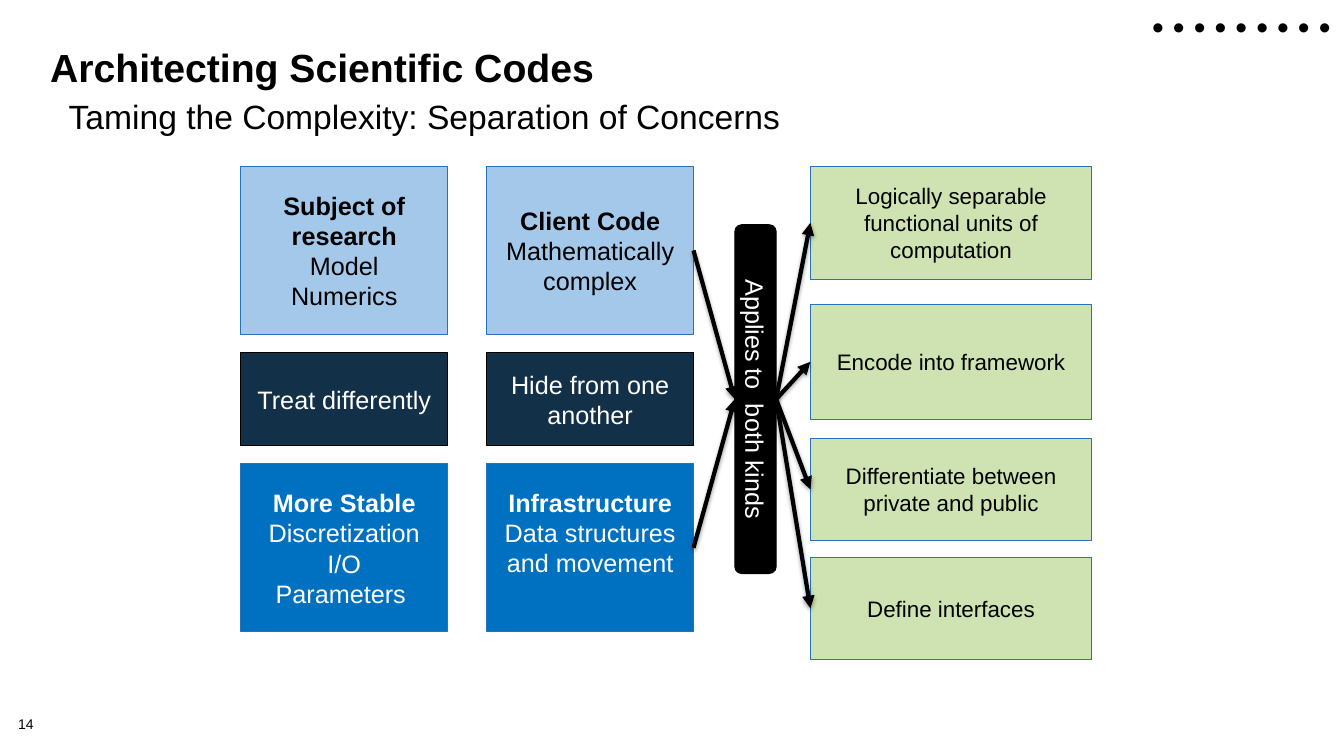
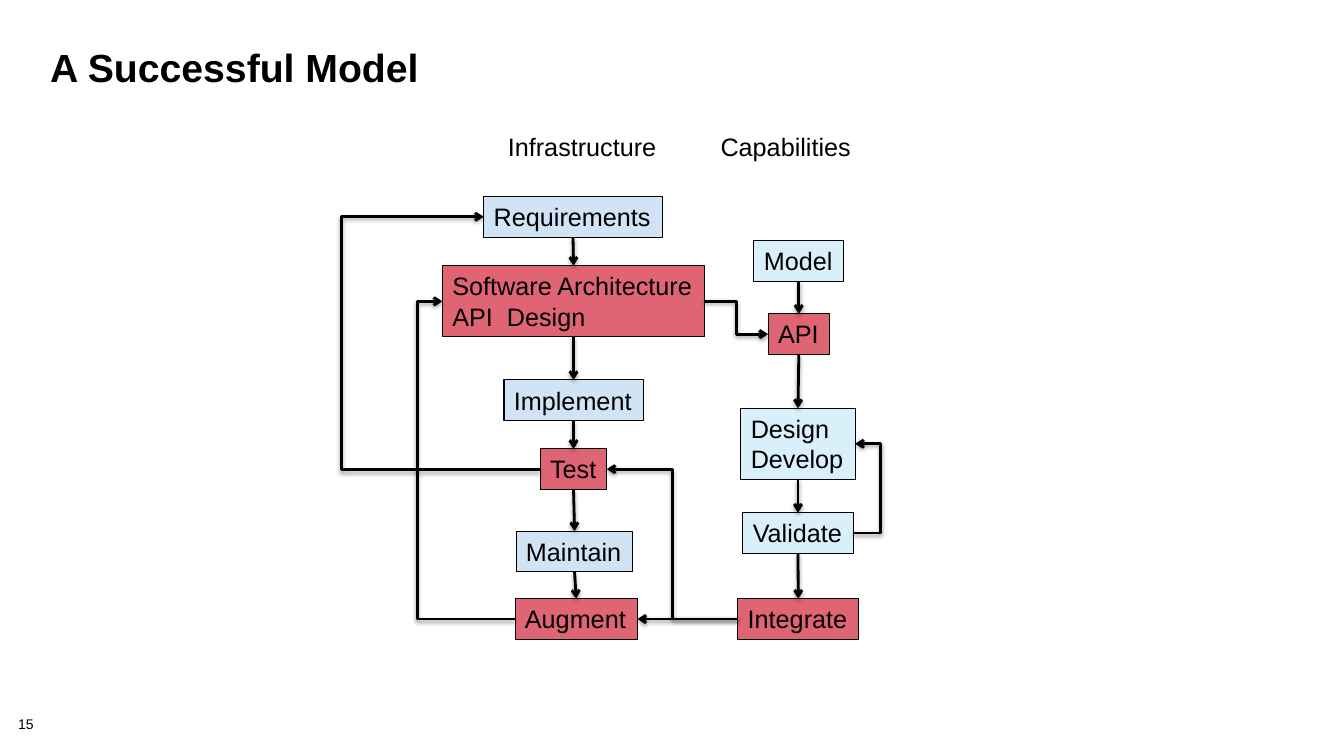
"""Build two slides on separating concerns and on a software life cycle."""
import itertools
from dataclasses import dataclass
from typing import Optional

import pptx
import pptx.dml.color
import pptx.enum.shapes
import pptx.enum.text
import pptx.oxml
import pptx.oxml.ns
import pptx.util

Pt = pptx.util.Pt
KIND = pptx.enum.shapes.MSO_SHAPE
JOIN = pptx.enum.shapes.MSO_CONNECTOR
ALIGN = pptx.enum.text.PP_ALIGN
ANCHOR = pptx.enum.text.MSO_ANCHOR
FIT = pptx.enum.text.MSO_AUTO_SIZE

COLS, ROWS = 40, 22.5
CELL = pptx.util.Inches(1) / 3
FONT = "Arial"
BLACK, WHITE = "000000", "FFFFFF"
EDGE, SKY, BLUE, NAVY, GREEN = "2673BA", "A3C8EA", "0070C0", "133049", "CEE3B1"
PALE, ICE, ROSE = "D1E4F5", "D9EFFA", "DF6474"
TOP, LEFT, BOTTOM, RIGHT = range(4)
SHADE = (
    '<a:effectLst %s><a:outerShdw blurRad="39370" dist="20320" dir="5400000" rotWithShape="0">'
    '<a:srgbClr val="000000"><a:alpha val="38000"/></a:srgbClr></a:outerShdw></a:effectLst>'
    % pptx.oxml.ns.nsdecls("a")
)


@dataclass
class Box:
    """A place on the grid, in cells."""
    x: float
    y: float
    w: float
    h: float


@dataclass
class Style:
    """The look of text and of the shape around it."""
    size: float = 18
    ink: str = BLACK
    fill: Optional[str] = None
    edge: str = BLACK
    lead: bool = False
    align: Optional[ALIGN] = None
    mid: bool = False
    space: Optional[float] = None
    wrap: bool = True
    grow: bool = False
    pad: Optional[tuple] = None


@dataclass
class Node:
    """A labelled step of the flow chart."""
    text: str
    x: float
    y: float
    w: float
    fill: str


@dataclass
class Link:
    """An arrow between sides of two shapes, bent at a column if given."""
    a: str
    out: int
    b: str
    into: int
    bend: Optional[float] = None


def grid(n: float) -> int:
    """Turn cells into a length."""
    return round(n * CELL)


def tint(code: str) -> pptx.dml.color.RGBColor:
    """Turn a hex string into a colour."""
    return pptx.dml.color.RGBColor.from_string(code)


def write(frame, text: str, style: Style) -> None:
    """Fill a text frame and format its runs."""
    frame.text = text
    frame.word_wrap = style.wrap
    frame.auto_size = FIT.SHAPE_TO_FIT_TEXT if style.grow else FIT.NONE
    frame.vertical_anchor = ANCHOR.MIDDLE if style.mid else ANCHOR.TOP
    if style.pad:
        pads = [grid(n) for n in style.pad]
        frame.margin_left, frame.margin_top, frame.margin_right, frame.margin_bottom = pads
    for i, line in enumerate(frame.paragraphs):
        line.alignment = style.align or ALIGN.LEFT
        if style.space:
            line.line_spacing = style.space
        for run in line.runs:
            run.font.name = FONT
            run.font.size = Pt(style.size)
            run.font.bold = style.lead and i == 0
            run.font.color.rgb = tint(style.ink)


def draw(slide, box: Box, text: str, style: Style, kind=KIND.RECTANGLE):
    """Add a filled shape, or a text box when the style has no fill."""
    spot = [grid(n) for n in (box.x, box.y, box.w, box.h)]
    if style.fill:
        shape = slide.shapes.add_shape(kind, *spot)
        shape.shadow.inherit = False
        shape.fill.solid()
        shape.fill.fore_color.rgb = tint(style.fill)
        shape.line.color.rgb = tint(style.edge)
        shape.line.width = Pt(0.75)
    else:
        shape = slide.shapes.add_textbox(*spot)
    write(shape.text_frame, text, style)
    return shape


def join(slide, shapes: dict, link: Link, width: float, tip: str) -> None:
    """Add a shaded arrow between two shapes."""
    elbow = link.bend is not None
    line = slide.shapes.add_connector(JOIN.ELBOW if elbow else JOIN.STRAIGHT, 0, 0, 0, 0)
    line.begin_connect(shapes[link.a], link.out)
    line.end_connect(shapes[link.b], link.into)
    line.line.color.rgb = tint(BLACK)
    line.line.width = Pt(width)
    props = line.element.spPr
    stroke = props.find(pptx.oxml.ns.qn("a:ln"))
    stroke.append(pptx.oxml.parse_xml(
        '<a:tailEnd %s type="%s"/>' % (pptx.oxml.ns.nsdecls("a"), tip)))
    props.append(pptx.oxml.parse_xml(SHADE))
    if elbow:
        share = (grid(link.bend) - line.begin_x) / (line.end_x - line.begin_x)
        shape = props.find(pptx.oxml.ns.qn("a:prstGeom"))
        for old in list(shape):
            shape.remove(old)
        shape.append(pptx.oxml.parse_xml(
            '<a:avLst %s><a:gd name="adj1" fmla="val %d"/></a:avLst>'
            % (pptx.oxml.ns.nsdecls("a"), round(share * 100000))))


def start(deck, title: str, number: int):
    """Add a slide with its title and number."""
    slide = deck.slides.add_slide(deck.slide_layouts[6])
    draw(slide, Box(1.2, 1.35, 37.32, 3), title, Style(28, lead=True, space=0.85))
    draw(slide, Box(0.54, 21.36, 1.68, 0.48), str(number),
         Style(10, space=0.9, pad=(0, 0, 0, 0)))
    return slide


def concerns(deck) -> None:
    """Draw the separation of concerns."""
    slide = start(deck, "Architecting Scientific Codes", 14)
    draw(slide, Box(0, 2.85, 25.26, 2.1), "Taming the Complexity: Separation of Concerns",
         Style(24, align=ALIGN.CENTER, space=0.9))
    shapes = {}
    bands = [
        (5.01, Style(fill=SKY, edge=EDGE, lead=True),
         ["Subject of research\nModel\nNumerics", "Client Code\nMathematically complex"]),
        (2.76, Style(fill=NAVY, ink=WHITE), ["Treat differently", "Hide from one another"]),
        (5.01, Style(fill=BLUE, edge=EDGE, ink=WHITE, lead=True),
         ["More Stable\nDiscretization\nI/O\nParameters ",
          "Infrastructure\nData structures and movement"]),
    ]
    y = 4.95
    for high, style, texts in bands:
        style.align, style.mid = ALIGN.CENTER, True
        for col, text in enumerate(texts):
            key = text.split("\n")[0]
            style.pad = (0.3, 0.15, 0.3, 1.05 if key == "Infrastructure" else 0.15)
            shapes[key] = draw(slide, Box(7.17 + 7.32 * col, y, 6.15, high), text, style)
        y += high + 0.54
    goals = [
        ("Logically separable functional units of computation", 4.95, 3.36),
        ("Encode into framework", 9.06, 3.42),
        ("Differentiate between private and public", 13.05, 3.03),
        ("Define interfaces", 16.59, 3.03),
    ]
    green = Style(16, fill=GREEN, edge=EDGE, align=ALIGN.CENTER, mid=True)
    for text, y, high in goals:
        shapes[text] = draw(slide, Box(24.12, y, 8.37, high), text, green)
    bar = draw(slide, Box(21.87, 6.69, 1.23, 10.38), "Applies to  both kinds",
               Style(ink=WHITE, fill=BLACK, align=ALIGN.CENTER, mid=True, pad=(0.15,) * 4),
               KIND.ROUNDED_RECTANGLE)
    bar.text_frame._txBody.bodyPr.set("vert", "vert")
    shapes["bar"] = bar
    links = [Link(key, RIGHT, "bar", LEFT) for key in ("Client Code", "Infrastructure")]
    links += [Link("bar", RIGHT, goal[0], LEFT) for goal in goals]
    for link in links:
        join(slide, shapes, link, 3, "triangle")
    dot = Style(24, space=0.9, mid=True, wrap=False, grow=True, pad=(0.39, 0.3, 0.39, 0.3))
    for i in range(9):
        draw(slide, Box(33.9 + 0.62 * i, 0, 1.14, 1.71), "•", dot)


def model(deck) -> None:
    """Draw the flow of infrastructure and capabilities."""
    slide = start(deck, "A Successful Model", 15)
    heads = [("Infrastructure", 14.82, 5.07), ("Capabilities", 21.15, 4.53)]
    for text, x, wide in heads:
        draw(slide, Box(x, 3.75, wide, 1.21), text, Style(wrap=False, grow=True))
    flows = [
        [Node("Requirements", 14.4, 5.85, 5.31, PALE),
         Node("Software Architecture\nAPI  Design", 13.17, 7.91, 7.8, ROSE),
         Node("Implement", 15, 11.31, 4.14, PALE),
         Node("Test", 16.08, 13.36, 1.98, ROSE),
         Node("Maintain", 15.36, 15.81, 3.48, PALE),
         Node("Augment", 15.33, 17.82, 3.64, ROSE)],
        [Node("Model", 22.44, 7.16, 2.67, ICE),
         Node("API", 22.86, 9.34, 1.83, ROSE),
         Node("Design\nDevelop", 22.05, 12.15, 3.4, ICE),
         Node("Validate", 22.11, 15.26, 3.28, ICE),
         Node("Integrate", 21.96, 17.82, 3.6, ROSE)],
    ]
    shapes, links = {}, []
    for flow in flows:
        for node in flow:
            high = 2.12 if "\n" in node.text else 1.21
            shapes[node.text] = draw(slide, Box(node.x, node.y, node.w, high), node.text,
                                     Style(fill=node.fill, wrap=False, grow=True))
        links += [Link(a.text, BOTTOM, b.text, TOP) for a, b in itertools.pairwise(flow)]
    plan = flows[0][1].text
    links += [
        Link("Augment", LEFT, plan, LEFT, 12.42),
        Link("Validate", RIGHT, "Design\nDevelop", RIGHT, 26.2),
        Link("Integrate", LEFT, "Augment", RIGHT),
        Link(plan, RIGHT, "API", LEFT, 21.92),
        Link("Test", LEFT, "Requirements", LEFT, 10.17),
        Link("Integrate", LEFT, "Test", RIGHT, 20.01),
    ]
    for link in links:
        join(slide, shapes, link, 2, "arrow")


def main() -> None:
    """Build and save the deck."""
    deck = pptx.Presentation()
    deck.slide_width, deck.slide_height = grid(COLS), grid(ROWS)
    concerns(deck)
    model(deck)
    deck.save("out.pptx")


if __name__ == "__main__":
    main()
